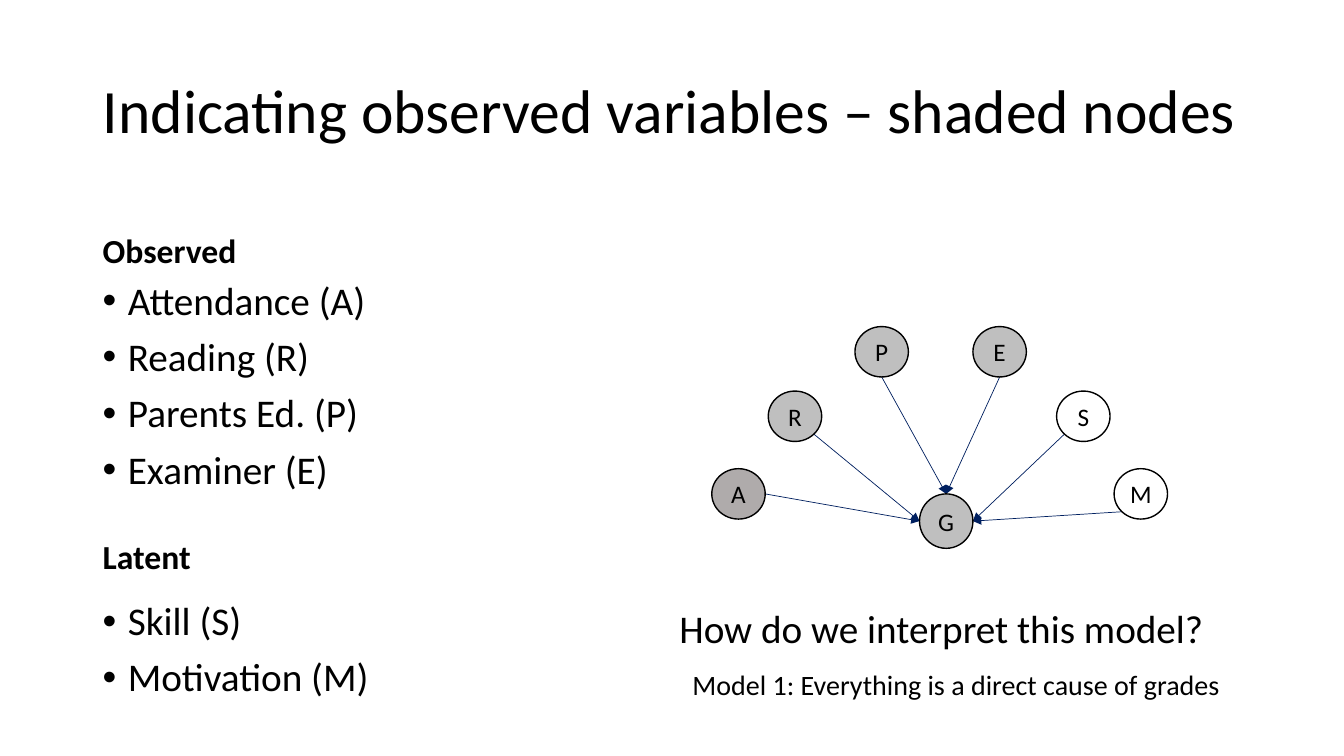
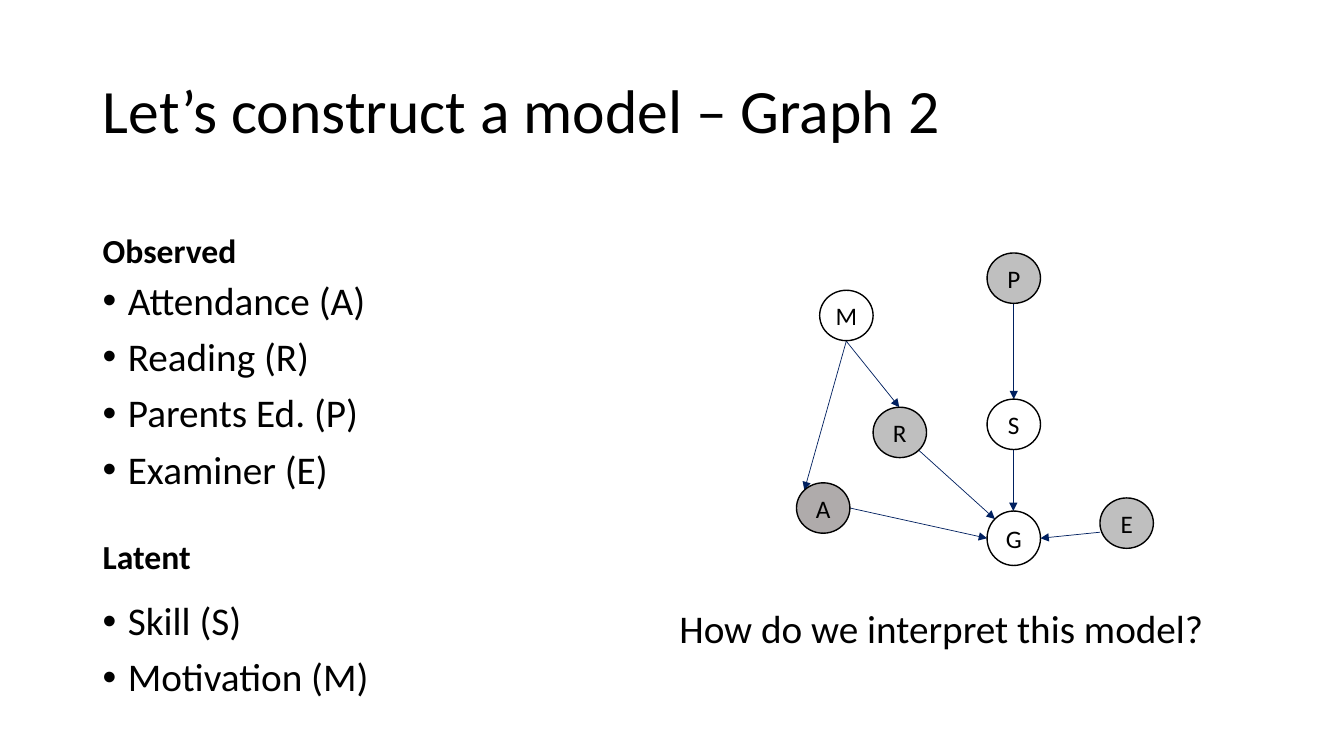
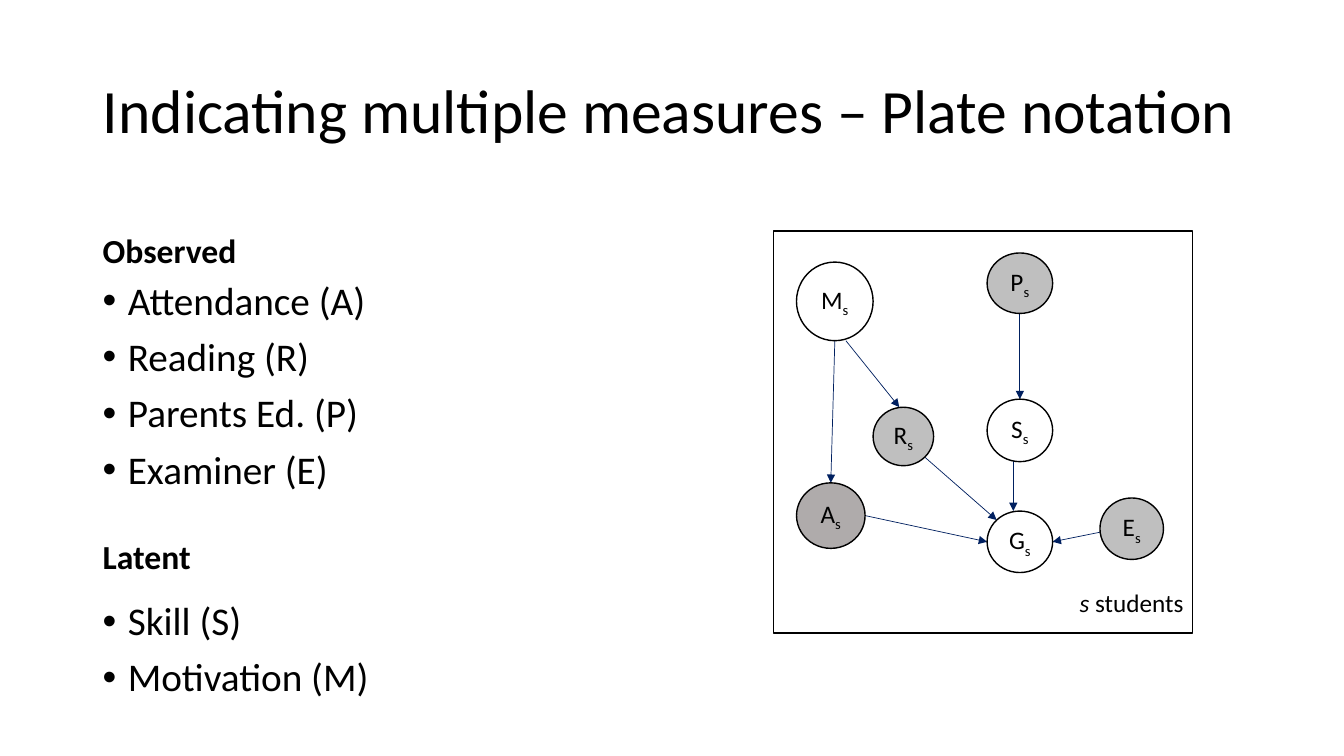
from lxml import etree
from pptx import Presentation
from pptx.dml.color import RGBColor
from pptx.enum.shapes import MSO_CONNECTOR, MSO_SHAPE
from pptx.enum.text import MSO_ANCHOR, PP_ALIGN
from pptx.oxml.ns import qn
from pptx.util import Inches, Pt

OVAL, RECTANGLE = MSO_SHAPE.OVAL, MSO_SHAPE.RECTANGLE
STRAIGHT = MSO_CONNECTOR.STRAIGHT
TOP, MIDDLE, BOTTOM = MSO_ANCHOR.TOP, MSO_ANCHOR.MIDDLE, MSO_ANCHOR.BOTTOM
LEFT, CENTER = PP_ALIGN.LEFT, PP_ALIGN.CENTER

FONT = "Calibri"
COLORS = {
    "text": "000000",
    "latent": "FFFFFF",
    "observed": "BFBFBF",
    "attendance": "AFABAB",
    "arrow": "002060",
}
DIAGONAL = 0.5 ** 0.5
COMPASS = {
    "top": (0, -1),
    "bottom": (0, 1),
    "left": (-1, 0),
    "right": (1, 0),
    "top left": (-DIAGONAL, -DIAGONAL),
    "bottom left": (-DIAGONAL, DIAGONAL),
    "bottom right": (DIAGONAL, DIAGONAL),
}
QUESTION = "How do we interpret this model?"


def color(name):
    """Return the named colour."""
    return RGBColor.from_string(COLORS[name])


def end_point(nodes, end):
    """Resolve a (letter, side) pair to a point on that node's rim; keep plain points."""
    if end[0] not in nodes:
        return end
    left, top, width, height = nodes[end[0]][:4]
    across, down = COMPASS[end[1]]
    return left + width / 2 * (1 + across), top + height / 2 * (1 + down)


class Deck:
    """Hold the shared style and the current slide."""

    def __init__(self):
        """Start a widescreen presentation."""
        self.presentation = Presentation()
        self.presentation.slide_width = Inches(13.33)
        self.presentation.slide_height = Inches(7.5)
        self.slide = None

    def style(self, paragraph, size, bold=False, align=LEFT):
        """Apply the shared text style to a paragraph."""
        paragraph.alignment = align
        font = paragraph.font
        font.name, font.size, font.bold = FONT, Pt(size), bold
        font.color.rgb = color("text")

    def add_slide(self, title):
        """Add a slide with its title and the list of variables."""
        self.slide = self.presentation.slides.add_slide(self.presentation.slide_layouts[5])
        shape = self.slide.shapes.title
        shape.left, shape.top = Inches(0.92), Inches(0.4)
        shape.width, shape.height = Inches(11.5), Inches(1.45)
        shape.text_frame.text = title
        shape.text_frame.vertical_anchor = MIDDLE
        paragraph = shape.text_frame.paragraphs[0]
        paragraph.line_spacing = 0.9
        self.style(paragraph, 44)
        self.heading("Observed", 1.84)
        self.bullets(["Attendance (A)", "Reading (R)", "Parents Ed. (P)", "Examiner (E)"], 2.74, 2.39)
        self.heading("Latent", 4.87)
        self.bullets(["Skill (S)", "Motivation (M)"], 5.92, 1.33)

    def text_frame(self, left, top, width, height, anchor=TOP):
        """Add a wrapping text box and return its text frame."""
        box = self.slide.shapes.add_textbox(Inches(left), Inches(top), Inches(width), Inches(height))
        box.text_frame.word_wrap = True
        box.text_frame.vertical_anchor = anchor
        return box.text_frame

    def heading(self, text, top):
        """Add a bold heading to the left column."""
        frame = self.text_frame(0.92, top, 5.65, 0.9, BOTTOM)
        frame.text = text
        paragraph = frame.paragraphs[0]
        paragraph.line_spacing, paragraph.space_before = 0.9, Pt(10)
        self.style(paragraph, 24, bold=True)

    def bullets(self, items, top, height):
        """Add a bulleted list to the left column."""
        frame = self.text_frame(0.92, top, 5.65, height)
        frame.text = "\n".join(items)
        for paragraph in frame.paragraphs:
            paragraph.line_spacing, paragraph.space_before = 0.9, Pt(10)
            properties = paragraph._p.get_or_add_pPr()
            properties.set("marL", str(Inches(0.25)))
            properties.set("indent", str(Inches(-0.25)))
            etree.SubElement(properties, qn("a:buFont"), typeface="Arial")
            etree.SubElement(properties, qn("a:buChar"), char="•")
            self.style(paragraph, 28)

    def caption(self, text, left, top, width, height, size, italic_start=""):
        """Add a line of text, optionally with an italic beginning."""
        paragraph = self.text_frame(left, top, width, height).paragraphs[0]
        self.style(paragraph, size)
        if italic_start:
            run = paragraph.add_run()
            run.text, run.font.italic = italic_start, True
        paragraph.add_run().text = text

    def outlined(self, kind, left, top, width, height, fill):
        """Add a filled shape with a thin black outline."""
        shape = self.slide.shapes.add_shape(
            kind, Inches(left), Inches(top), Inches(width), Inches(height))
        shape.shadow.inherit = False
        shape.fill.solid()
        shape.fill.fore_color.rgb = color(fill)
        shape.line.color.rgb = color("text")
        shape.line.width = Pt(1)
        return shape

    def node(self, letter, left, top, width, height, fill, subscript):
        """Add a round node with its letter and optional subscript."""
        frame = self.outlined(OVAL, left, top, width, height, fill).text_frame
        frame.margin_left = frame.margin_right = frame.margin_top = frame.margin_bottom = 0
        frame.vertical_anchor = MIDDLE
        frame.word_wrap = False
        paragraph = frame.paragraphs[0]
        self.style(paragraph, 18, align=CENTER)
        paragraph.add_run().text = letter
        if subscript:
            run = paragraph.add_run()
            run.text = subscript
            run._r.get_or_add_rPr().set("baseline", "-25000")

    def arrow(self, start, end):
        """Add a thin arrow between two points."""
        connector = self.slide.shapes.add_connector(
            STRAIGHT, *(Inches(value) for value in (*start, *end)))
        connector.line.color.rgb = color("arrow")
        connector.line.width = Pt(0.5)
        etree.SubElement(connector.line._get_or_add_ln(), qn("a:tailEnd"), type="triangle")
        etree.SubElement(connector._element.spPr, qn("a:effectLst"))

    def graph(self, nodes, arrows, subscript=""):
        """Draw the arrows, then the nodes over them."""
        for start, end in arrows:
            self.arrow(end_point(nodes, start), end_point(nodes, end))
        for letter, place in nodes.items():
            self.node(letter, *place, subscript)


deck = Deck()

deck.add_slide("Indicating observed variables – shaded nodes")
deck.graph(
    {
        "G": (9.12, 4.9, 0.53, 0.54, "observed"),
        "A": (7.06, 4.65, 0.53, 0.5, "attendance"),
        "R": (7.62, 3.88, 0.53, 0.5, "observed"),
        "P": (8.48, 3.24, 0.53, 0.5, "observed"),
        "E": (9.65, 3.24, 0.53, 0.5, "observed"),
        "S": (10.48, 3.88, 0.53, 0.5, "latent"),
        "M": (11.05, 4.65, 0.53, 0.5, "latent"),
    },
    [
        (("A", "right"), ("G", "left")),
        (("R", "bottom right"), ("G", "left")),
        (("P", "bottom"), ("G", "top")),
        (("E", "bottom"), ("G", "top")),
        (("S", "bottom left"), ("G", "right")),
        (("M", "bottom left"), ("G", "right")),
    ],
)
deck.caption(QUESTION, 6.64, 5.95, 5.5, 0.57, 28)
deck.caption("Model 1: Everything is a direct cause of grades", 6.77, 6.57, 5.47, 0.44, 20)

shared_arrows = [
    (("A", "right"), ("G", "left")),
    (("R", "bottom right"), ("G", "top left")),
    ((10.91, 5.28), ("G", "right")),
    (("P", "bottom"), ("S", "top")),
    ((10.05, 4.46), (10.05, 5.07)),
    ((8.39, 3.38), (8.92, 4.04)),
]

deck.add_slide("Let’s construct a model – Graph 2")
deck.graph(
    {
        "G": (9.79, 5.07, 0.53, 0.54, "latent"),
        "A": (7.9, 4.79, 0.53, 0.5, "attendance"),
        "R": (8.66, 4.04, 0.53, 0.5, "observed"),
        "P": (9.79, 2.51, 0.53, 0.5, "observed"),
        "E": (10.91, 4.94, 0.53, 0.5, "observed"),
        "M": (8.13, 2.88, 0.53, 0.5, "latent"),
        "S": (9.79, 3.96, 0.53, 0.5, "latent"),
    },
    shared_arrows + [(("M", "bottom"), ("A", "top left"))],
)
deck.caption(QUESTION, 6.64, 5.95, 5.5, 0.57, 28)

deck.add_slide("Indicating multiple measures – Plate notation")
deck.outlined(RECTANGLE, 7.67, 2.29, 4.16, 3.99, "latent")
deck.graph(
    {
        "G": (9.79, 5.07, 0.65, 0.61, "latent"),
        "A": (7.9, 4.79, 0.68, 0.65, "attendance"),
        "R": (8.66, 4.04, 0.6, 0.58, "observed"),
        "P": (9.79, 2.51, 0.65, 0.6, "observed"),
        "E": (10.91, 4.94, 0.63, 0.61, "observed"),
        "M": (7.9, 2.6, 0.76, 0.78, "latent"),
        "S": (9.79, 3.96, 0.65, 0.62, "latent"),
    },
    shared_arrows + [(("M", "bottom"), ("A", "top"))],
    subscript="s",
)
deck.caption(" students", 10.61, 5.78, 1.57, 0.4, 18, italic_start="s")

deck.presentation.save("out.pptx")
